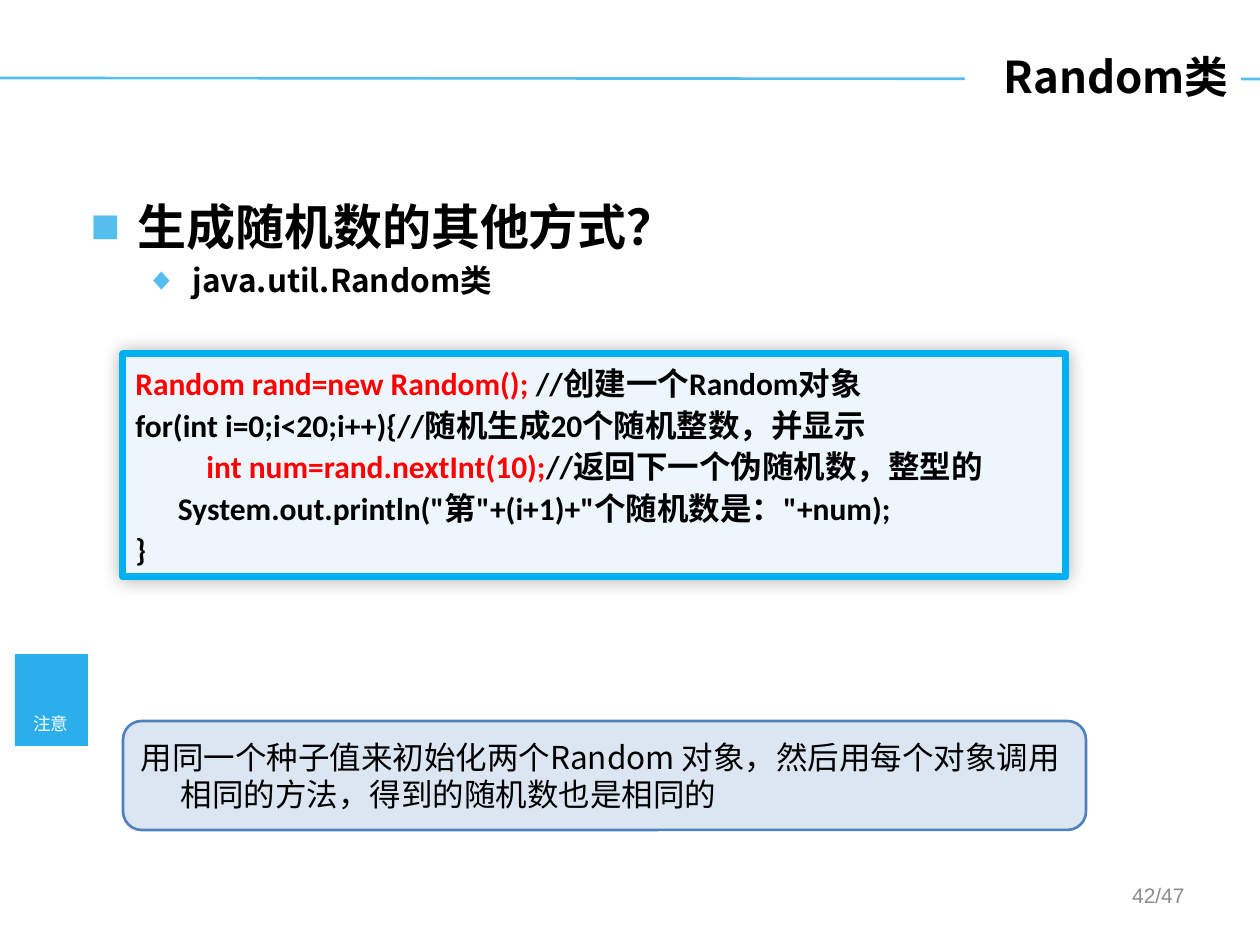
from lxml import etree
from pptx import Presentation
from pptx.dml.color import RGBColor
from pptx.enum.shapes import MSO_CONNECTOR, MSO_SHAPE
from pptx.enum.text import MSO_ANCHOR, MSO_AUTO_SIZE, PP_ALIGN
from pptx.oxml import parse_xml
from pptx.oxml.ns import nsdecls, qn
from pptx.util import Pt

# Content
TITLE = "Random类"
# text, size, level, bullet, left margin px, space before
BULLETS = [
    ("生成随机数的其他方式？", 28, 0, "■", 47, 0),
    ("java.util.Random类", 18, 1, "◆", 102, 3.6),
]
# Each code line is a list of (text, colour name)
CODE = [
    [("Random rand=new Random(); ", "red"), ("//创建一个Random对象", "black")],
    [("for(int i=0;i<20;i++){//随机生成20个随机整数，并显示", "black")],
    [("          int num=rand.nextInt(10);", "red"), ("//返回下一个伪随机数，整型的", "black")],
    [('      System.out.println("第"+(i+1)+"个随机数是："+num);', "black")],
    [("}", "black")],
]
NOTE_LABEL = "注意"
NOTE = "用同一个种子值来初始化两个Random 对象，然后用每个对象调用相同的方法，得到的随机数也是相同的"
PAGE = "42/47"

COLORS = {
    "black": "000000", "white": "FFFFFF", "red": "FF0000", "grey": "8C8C8C",
    "rule": "56BEEE", "label": "2BAEE9", "code fill": "EDF5FD",
    "code line": "00B0F0", "note fill": "DCE6F2", "note line": "4F81BD",
}
CJK = "Noto Sans CJK SC"
SCALE = 914400 / 126


def px(value):
    return round(value * SCALE)


def box(*values):
    return [px(value) for value in values]


def color(name):
    return RGBColor.from_string(COLORS[name])


def write(paragraph, text, size=18, font=CJK, ink="black", bold=False,
          align=PP_ALIGN.LEFT, margin=0, hanging=0, bullet=None):
    """Add one formatted run and set the layout of its paragraph."""
    paragraph.alignment = align
    properties = paragraph._p.get_or_add_pPr()
    properties.set("marL", str(px(margin)))
    properties.set("indent", str(-px(hanging)))
    if bullet:
        tint = etree.SubElement(properties, qn("a:buClr"))
        etree.SubElement(tint, qn("a:srgbClr"), val=COLORS["rule"])
        etree.SubElement(properties, qn("a:buFont"), typeface="Arial")
        etree.SubElement(properties, qn("a:buChar"), char=bullet)
    run = paragraph.add_run()
    run.text = text
    run.font.size = Pt(size)
    run.font.bold = bold
    run.font.name = font
    run.font.color.rgb = color(ink)
    east_asian = etree.SubElement(run._r.get_or_add_rPr(), qn("a:ea"))
    east_asian.set("typeface", CJK)


def add_panel(shapes, kind, place, fill, line=None, width=0):
    shape = shapes.add_shape(kind, *box(*place))
    shape.shadow.inherit = False
    shape.fill.solid()
    shape.fill.fore_color.rgb = color(fill)
    if line:
        shape.line.color.rgb = color(line)
        shape.line.width = Pt(width)
    else:
        shape.line.fill.background()
    shape.text_frame.word_wrap = True
    return shape


def place_at(shape, place):
    shape.left, shape.top, shape.width, shape.height = box(*place)


presentation = Presentation()
presentation.slide_width, presentation.slide_height = box(1260, 945)
slide = presentation.slides.add_slide(presentation.slide_layouts[1])
shapes = slide.shapes

# Header rule, behind the title
rule = shapes.add_connector(MSO_CONNECTOR.STRAIGHT, *box(0, 78, 1260, 79))
rule.line.color.rgb = color("rule")
rule.line.width = Pt(1.5)
etree.SubElement(rule._element.spPr, qn("a:effectLst"))
shapes._spTree.insert(2, rule._element)

# Title
title = shapes.title
place_at(title, (965, 37, 276, 78))
title.fill.solid()
title.fill.fore_color.rgb = color("white")
title.text_frame.vertical_anchor = MSO_ANCHOR.MIDDLE
write(title.text_frame.paragraphs[0], TITLE, size=25, bold=True, align=PP_ALIGN.RIGHT)

# Bulleted list
body = slide.placeholders[1]
place_at(body, (78, 190, 1113, 98))
frame = body.text_frame
for index, (text, size, level, bullet, margin, before) in enumerate(BULLETS):
    paragraph = frame.add_paragraph() if index else frame.paragraphs[0]
    paragraph.level = level
    paragraph.space_before = Pt(before)
    write(paragraph, text, size=size, bold=True, margin=margin, hanging=47, bullet=bullet)

# Note label
group = shapes.add_group_shape()
add_panel(group.shapes, MSO_SHAPE.RECTANGLE, (15, 654, 73, 92), "label")
label = group.shapes.add_textbox(*box(21, 706, 60, 34)).text_frame
label.word_wrap = False
label.auto_size = MSO_AUTO_SIZE.SHAPE_TO_FIT_TEXT
label.vertical_anchor = MSO_ANCHOR.MIDDLE
write(label.paragraphs[0], NOTE_LABEL, size=10, ink="white")

# Code panel with a soft glow of shadow
code = add_panel(shapes, MSO_SHAPE.ROUNDED_RECTANGLE, (123, 354, 943, 223),
                 "code fill", "code line", 4)
code.adjustments[0] = 0
effects = code._element.spPr.find(qn("a:effectLst"))
effects.append(parse_xml(
    f'<a:outerShdw {nsdecls("a")} blurRad="{Pt(10)}" dist="0" dir="0" algn="ctr">'
    '<a:srgbClr val="000000"><a:alpha val="30000"/></a:srgbClr></a:outerShdw>'))
frame = code.text_frame
frame.vertical_anchor = MSO_ANCHOR.TOP
frame.auto_size = MSO_AUTO_SIZE.SHAPE_TO_FIT_TEXT
for index, parts in enumerate(CODE):
    paragraph = frame.add_paragraph() if index else frame.paragraphs[0]
    paragraph.line_spacing = 1.1
    for text, ink in parts:
        write(paragraph, text, font="Calibri", ink=ink, bold=True, margin=32, hanging=32)

# Note panel
note = add_panel(shapes, MSO_SHAPE.ROUNDED_RECTANGLE, (123, 721, 963, 109),
                 "note fill", "note line", 1.5)
note.adjustments[0] = 0.17
note.text_frame.vertical_anchor = MSO_ANCHOR.MIDDLE
write(note.text_frame.paragraphs[0], NOTE, margin=40, hanging=40)

# Page number
page = shapes.add_textbox(*box(903, 876, 294, 50)).text_frame
page.word_wrap = True
write(page.paragraphs[0], PAGE, size=12, font="Arial", ink="grey", align=PP_ALIGN.RIGHT)

presentation.save("out.pptx")
